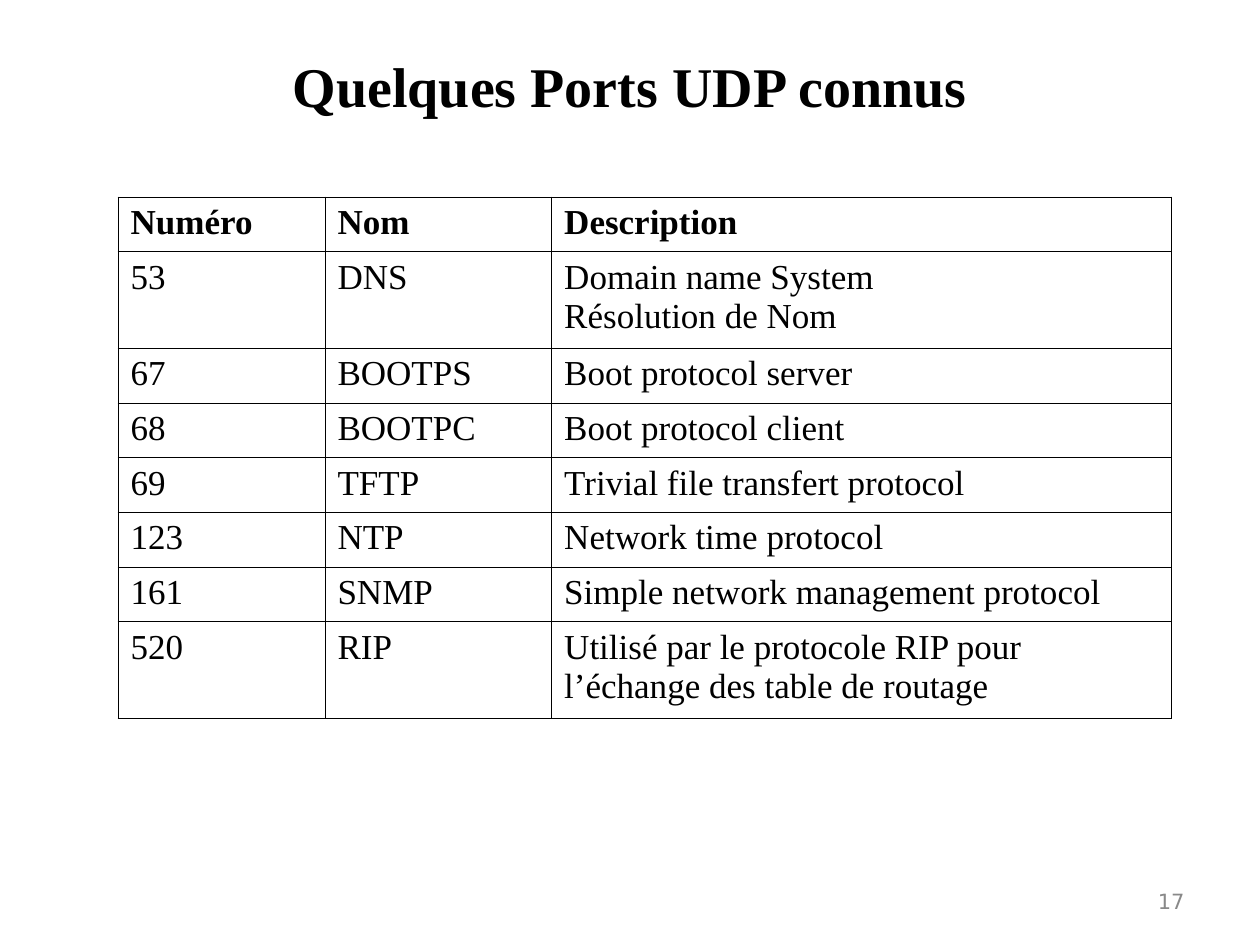
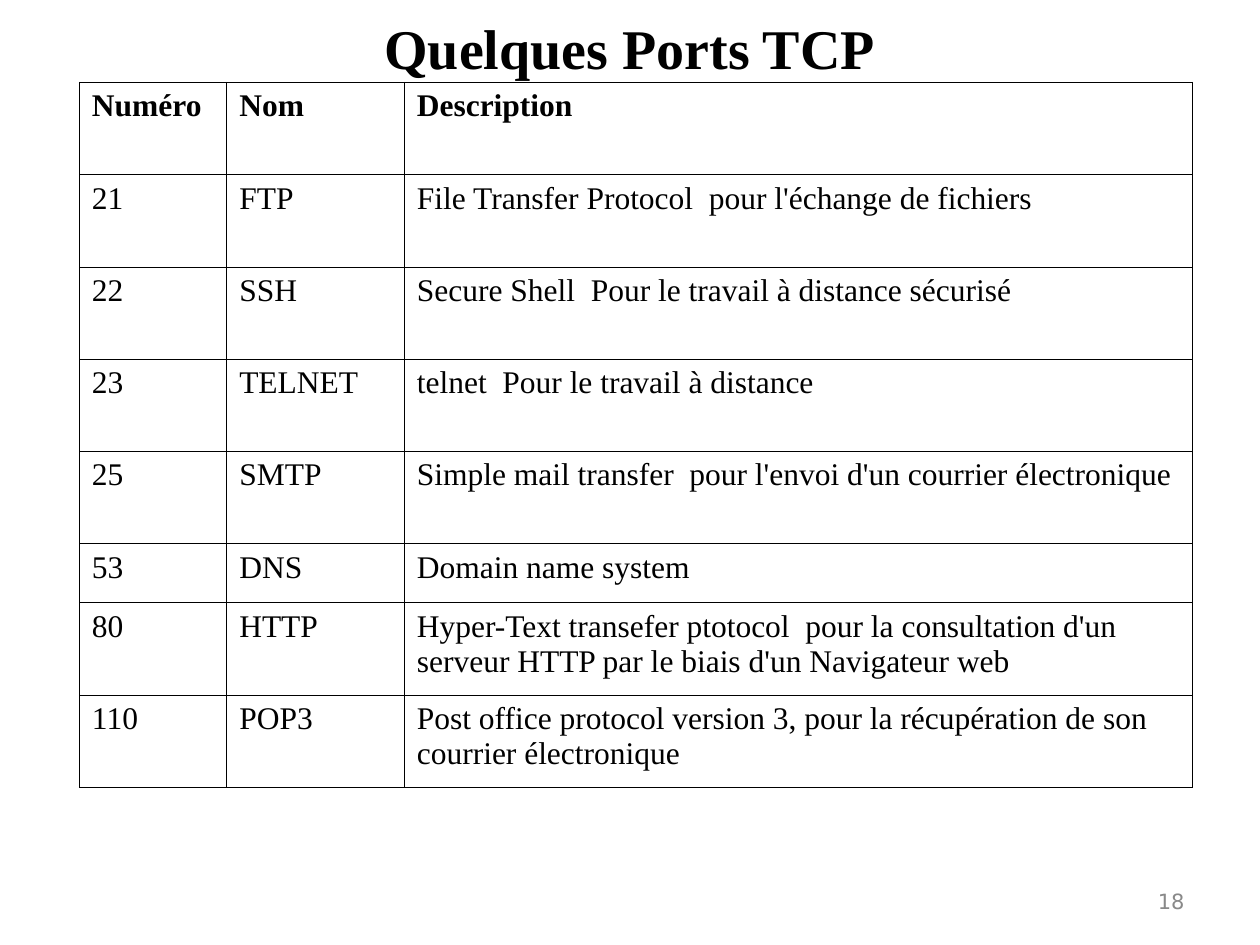
from dataclasses import dataclass

from lxml import etree
from pptx import Presentation
from pptx.dml.color import RGBColor
from pptx.enum.text import MSO_ANCHOR, MSO_AUTO_SIZE, PP_ALIGN
from pptx.oxml.ns import qn
from pptx.util import Cm, Pt

CENTER, RIGHT = PP_ALIGN.CENTER, PP_ALIGN.RIGHT
TOP, MIDDLE = MSO_ANCHOR.TOP, MSO_ANCHOR.MIDDLE
NO_AUTOFIT = MSO_AUTO_SIZE.NONE

COLORS = {"ink": "000000", "paper": "FFFFFF", "page_number": "898989"}
SERIF, SANS = "Times New Roman", "DejaVu Sans"
TITLE_ONLY = 5
BORDER_WIDTH = Pt(0.45)
HEADINGS = ("Numéro", "Nom", "Description")

UDP_PORTS = [
    ("53", "DNS", "Domain name System\nRésolution de Nom"),
    ("67", "BOOTPS", "Boot protocol server"),
    ("68", "BOOTPC", "Boot protocol client"),
    ("69", "TFTP", "Trivial file transfert protocol"),
    ("123", "NTP", "Network time protocol"),
    ("161", "SNMP", "Simple network management protocol"),
    ("520", "RIP", "Utilisé par le protocole RIP pour l’échange des table de routage"),
]
TCP_PORTS = [
    ("21", "FTP", "File Transfer Protocol  pour l'échange de fichiers"),
    ("22", "SSH", "Secure Shell  Pour le travail à distance sécurisé"),
    ("23", "TELNET", "telnet  Pour le travail à distance"),
    ("25", "SMTP", "Simple mail transfer  pour l'envoi d'un courrier électronique"),
    ("53", "DNS", "Domain name system"),
    ("80", "HTTP", "Hyper-Text transefer ptotocol  pour la consultation d'un "
                   "serveur HTTP par le biais d'un Navigateur web"),
    ("110", "POP3", "Post office protocol version 3, pour la récupération de son "
                    "courrier électronique"),
]


@dataclass
class Box:
    """A rectangle on a page, in centimetres."""
    left: float
    top: float
    width: float
    height: float

    def lengths(self):
        """Return the four measures as slide lengths."""
        return Cm(self.left), Cm(self.top), Cm(self.width), Cm(self.height)


NUMBER_BOX = Box(18.21, 17.65, 5.92, 1.02)


def add_span(para, text, size, color, font=SERIF, bold=False):
    """Add one formatted run to a paragraph."""
    span = para.add_run()
    span.text = text
    span.font.name = font
    span.font.size = Pt(size)
    span.font.bold = bold
    span.font.color.rgb = RGBColor.from_string(COLORS[color])


def add_title(page, text, box):
    """Place the bold centred title in the title placeholder."""
    title = page.shapes.title
    title.left, title.top, title.width, title.height = box.lengths()
    frame = title.text_frame
    frame.auto_size = NO_AUTOFIT
    frame.vertical_anchor = TOP
    frame.margin_left = frame.margin_right = frame.margin_bottom = 0
    frame.margin_top = Cm(0.28)
    para = frame.paragraphs[0]
    para.alignment = CENTER
    add_span(para, text, 32, "ink", bold=True)


def add_page_number(page, number, box):
    """Place the grey page number at the right of its box."""
    frame = page.shapes.add_textbox(*box.lengths()).text_frame
    frame.word_wrap = True
    frame.vertical_anchor = MIDDLE
    para = frame.paragraphs[0]
    para.alignment = RIGHT
    add_span(para, str(number), 12, "page_number", SANS)


def add_borders(cell):
    """Draw a thin line on the four sides of a cell."""
    properties = cell._tc.get_or_add_tcPr()
    for side in ("a:lnL", "a:lnR", "a:lnT", "a:lnB"):
        line = etree.SubElement(properties, qn(side), w=str(BORDER_WIDTH))
        fill = etree.SubElement(line, qn("a:solidFill"))
        etree.SubElement(fill, qn("a:srgbClr"), val=COLORS["ink"])


def fill_cell(cell, text, size, bold):
    """Write, frame and colour one cell, one paragraph for each line."""
    add_borders(cell)
    cell.fill.solid()
    cell.fill.fore_color.rgb = RGBColor.from_string(COLORS["paper"])
    frame = cell.text_frame
    for index, line in enumerate(text.split("\n")):
        para = frame.add_paragraph() if index else frame.paragraphs[0]
        add_span(para, line, size, "ink", bold=bold)


def add_port_table(page, ports, left, top, widths, heights, size):
    """Build the table of ports under its row of headings."""
    rows = [HEADINGS, *ports]
    box = Box(left, top, sum(widths), sum(heights))
    table = page.shapes.add_table(len(rows), len(HEADINGS), *box.lengths()).table
    table.first_row = table.horz_banding = False
    for column, width in zip(table.columns, widths):
        column.width = Cm(width)
    for index, (row, height, texts) in enumerate(zip(table.rows, heights, rows)):
        row.height = Cm(height)
        for cell, text in zip(row.cells, texts):
            fill_cell(cell, text, size, bold=index == 0)


def add_port_page(deck, number, title, title_top, **table):
    """Add a page with a title, a table of ports and a page number."""
    page = deck.slides.add_slide(deck.slide_layouts[TITLE_ONLY])
    add_title(page, title, Box(1.27, title_top, 22.86, 1.41))
    add_page_number(page, number, NUMBER_BOX)
    add_port_table(page, **table)


def main():
    """Build and save the deck."""
    deck = Presentation()
    deck.slide_width, deck.slide_height = Cm(25.4), Cm(19.05)
    add_port_page(deck, 17, "Quelques Ports UDP connus", 0.76,
                  ports=UDP_PORTS, left=2.38, top=3.97, size=20,
                  widths=(4.17, 4.57, 12.5),
                  heights=[1.1, 1.95] + [1.1] * 5 + [1.95])
    add_port_page(deck, 18, "Quelques Ports TCP", 0,
                  ports=TCP_PORTS, left=1.6, top=1.66, size=18,
                  widths=(2.97, 3.58, 15.88),
                  heights=[1.86] * 5 + [1.19] + [1.86] * 2)
    deck.save("out.pptx")


if __name__ == "__main__":
    main()
